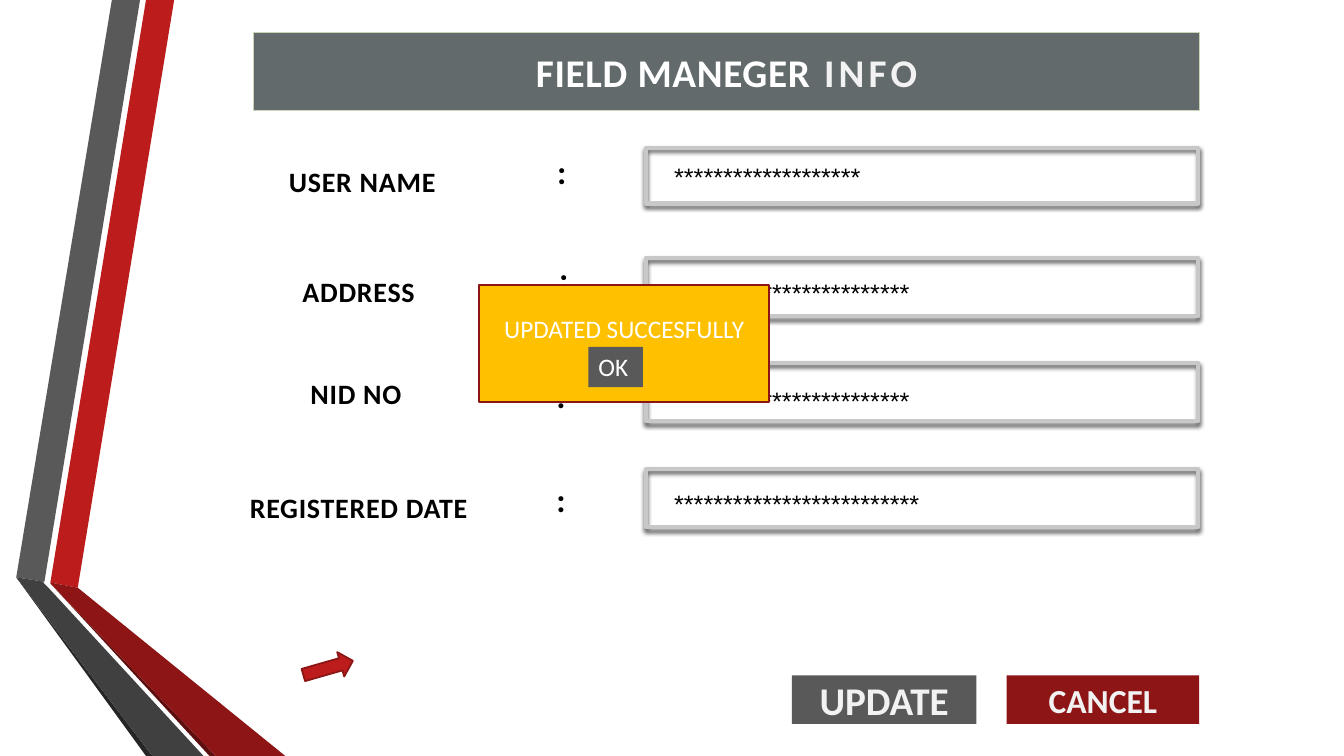
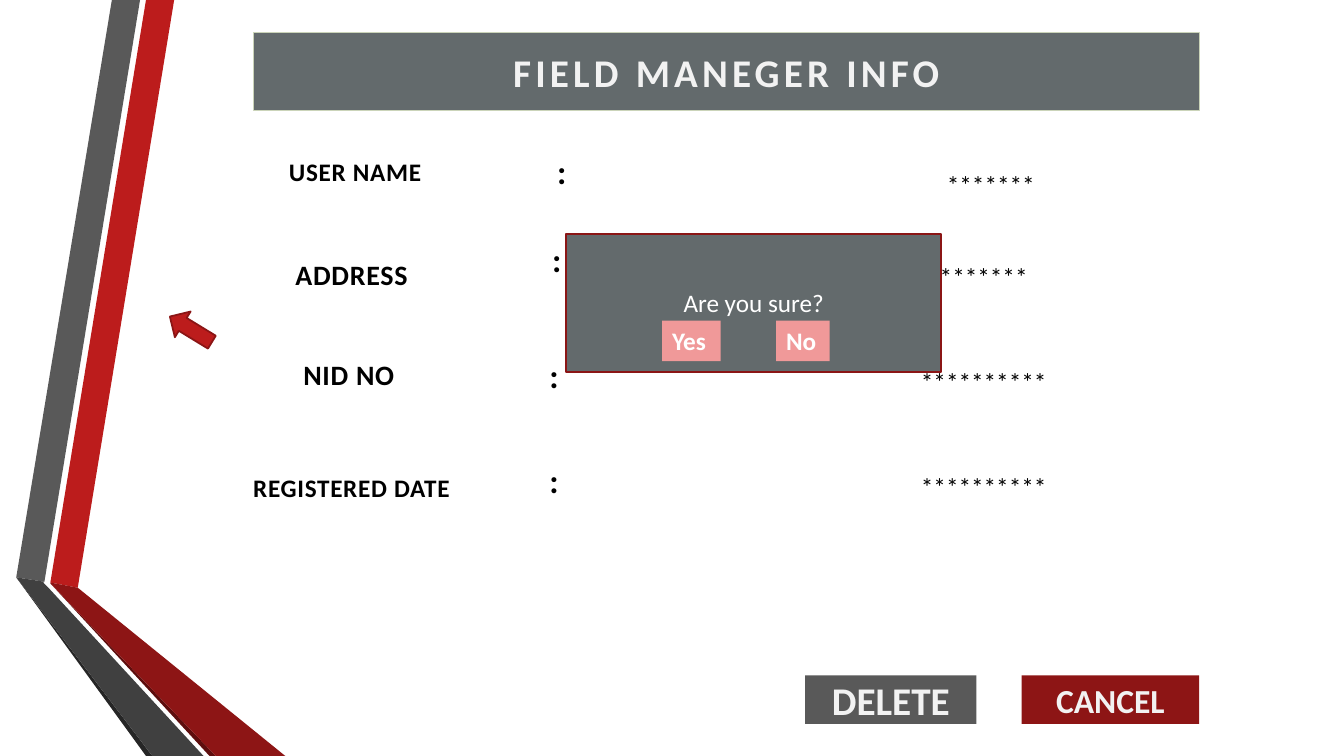
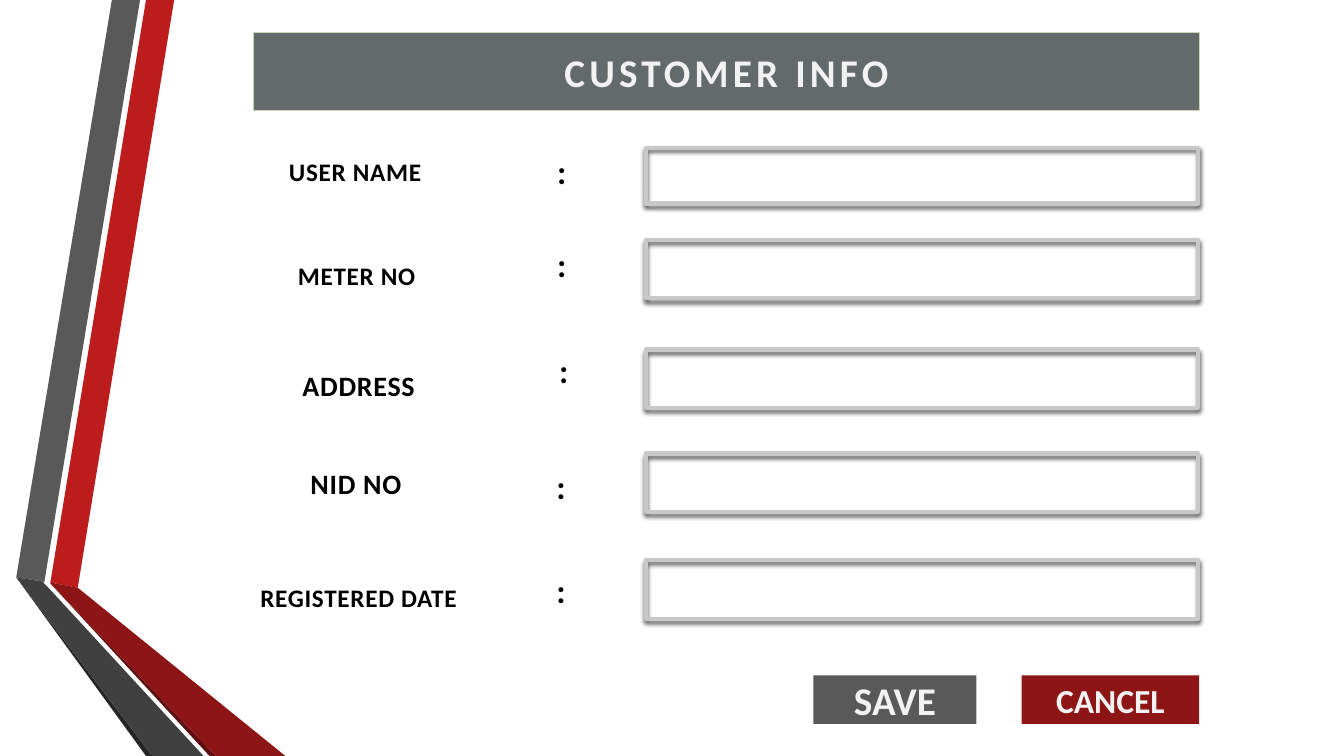
from pptx import Presentation
from pptx.dml.color import RGBColor
from pptx.enum.shapes import MSO_SHAPE
from pptx.enum.text import MSO_ANCHOR, MSO_AUTO_SIZE, PP_ALIGN
from pptx.oxml import parse_xml
from pptx.oxml.ns import nsdecls, qn
from pptx.util import Cm, Pt

RECTANGLE = MSO_SHAPE.RECTANGLE
RIGHT_ARROW = MSO_SHAPE.RIGHT_ARROW
LEFT_ARROW = MSO_SHAPE.LEFT_ARROW
MIDDLE, TOP = MSO_ANCHOR.MIDDLE, MSO_ANCHOR.TOP
CENTER, LEFT = PP_ALIGN.CENTER, PP_ALIGN.LEFT
FIT_SHAPE = MSO_AUTO_SIZE.SHAPE_TO_FIT_TEXT

COLORS = {
    "red": "BC1C1C", "dark red": "8D1515", "deep red": "5E0E0E", "edge red": "8B1515",
    "gray": "595959", "dark gray": "404040", "deep gray": "262626",
    "slate": "636A6C", "title edge": "CBD4B9", "field edge": "C8C8C8",
    "amber": "FFC000", "pink": "F09999",
    "white": "FFFFFF", "off white": "F2F2F2", "black": "000000",
}

# Side ribbon: colour and corner points in centimetres
RIBBON = [
    ("red", [(1.27, 14.68), (1.96, 14.81), (4.39, 0), (3.68, 0)]),
    ("gray", [(3.53, 0), (2.82, 0), (0.41, 14.55), (1.12, 14.66)]),
    ("deep gray", [(0.41, 14.55), (3.68, 19.05), (3.84, 19.05)]),
    ("deep red", [(1.27, 14.7), (5.28, 19.05), (5.44, 19.05)]),
    ("dark red", [(1.27, 14.7), (5.44, 19.05), (7.19, 19.05), (1.96, 14.81), (1.27, 14.68)]),
    ("dark gray", [(5.13, 19.05), (1.22, 14.81), (1.09, 14.68), (1.12, 14.66),
                   (0.41, 14.55), (3.84, 19.05)]),
]

FIELD_LEFT, FIELD_WIDTH = 16.28, 13.92
ACTION_RIGHT, CANCEL_RIGHT = 24.61, 30.22


def rgb(name):
    return RGBColor.from_string(COLORS[name])


def drop_shadow(blur, distance, direction, alpha):
    return parse_xml(
        f'<a:outerShdw {nsdecls("a")} blurRad="{Pt(blur)}" dist="{Pt(distance)}" '
        f'dir="{direction * 60000}" algn="t" rotWithShape="0"><a:srgbClr val="{COLORS["black"]}">'
        f'<a:alpha val="{alpha * 1000}"/></a:srgbClr></a:outerShdw>')


class FormDeck:
    def __init__(self):
        self.presentation = Presentation()
        self.presentation.slide_width = Cm(33.87)
        self.presentation.slide_height = Cm(19.05)
        self.layout = self.presentation.slide_layouts[6]
        self.slide = None
        self.ribbon_ready = False

    def new_slide(self, *title_runs):
        self.slide = self.presentation.slides.add_slide(self.layout)
        if not self.ribbon_ready:
            self.ribbon()
        title = self.box(RECTANGLE, 6.4, 0.81, 23.82, 1.98, "slate", "title edge", 0.75)
        for text, color, spacing in title_runs:
            self.add_text(title, text, 28, color, bold=True, spacing=spacing)

    def ribbon(self):
        """Draw the ribbon once and place it on the shared layout."""
        for placeholder in list(self.layout.placeholders):
            placeholder.element.getparent().remove(placeholder.element)
        for color, points in RIBBON:
            corners = [(Cm(x), Cm(y)) for x, y in points]
            builder = self.slide.shapes.build_freeform(*corners[0], scale=1.0)
            builder.add_line_segments(corners[1:], close=True)
            shape = builder.convert_to_shape()
            self.paint(shape, color)
            self.layout.shapes.element.append(shape.element)
        self.ribbon_ready = True

    def paint(self, shape, fill=None, line=None, line_width=1.25):
        shape.shadow.inherit = False
        if fill:
            shape.fill.solid()
            shape.fill.fore_color.rgb = rgb(fill)
        else:
            shape.fill.background()
        if line:
            shape.line.color.rgb = rgb(line)
            shape.line.width = Pt(line_width)
        else:
            shape.line.fill.background()

    def box(self, kind, left, top, width, height, fill=None, line=None, line_width=1.25):
        shape = self.slide.shapes.add_shape(kind, Cm(left), Cm(top), Cm(width), Cm(height))
        self.paint(shape, fill, line, line_width)
        return shape

    def add_text(self, shape, text, size, color, bold=False, spacing=0, font_name="Calibri",
                 align=CENTER, anchor=MIDDLE, shadow=False, outline=False):
        frame = shape.text_frame
        frame.word_wrap = True
        frame.vertical_anchor = anchor
        paragraph = frame.paragraphs[0]
        paragraph.alignment = align
        run = paragraph.add_run()
        run.text = text
        font = run.font
        font.size, font.bold = Pt(size), bold
        font.color.rgb = rgb(color)
        properties = run._r.get_or_add_rPr()
        if spacing:
            properties.set("spc", str(int(spacing * 100)))
        if outline:
            properties.insert(0, parse_xml(
                f'<a:ln {nsdecls("a")} w="{Pt(0.75)}"><a:solidFill>'
                f'<a:srgbClr val="{COLORS["white"]}"/></a:solidFill></a:ln>'))
        if shadow:
            effects = parse_xml(f'<a:effectLst {nsdecls("a")}/>')
            effects.append(drop_shadow(3, 2, 90, 60))
            properties.append(effects)
        font.name = font_name

    def centered_text(self, text, x, y, size, width=6.5, **style):
        height = 1.5
        text_box = self.slide.shapes.add_textbox(
            Cm(x - width / 2), Cm(y - height / 2), Cm(width), Cm(height))
        self.add_text(text_box, text, size, "black", **style)

    def label(self, text, size, x, y, colon_x, colon_y, shadow=False):
        self.centered_text(text, x, y, size, bold=True, spacing=0.5, shadow=shadow)
        self.centered_text(":", colon_x, colon_y, 24, width=1, bold=True)

    def field(self, top, height=1.47):
        frame = self.box(RECTANGLE, FIELD_LEFT, top, FIELD_WIDTH, height,
                         line="field edge", line_width=3)
        frame.element.spPr.find(qn("a:effectLst")).append(drop_shadow(3, 2, 90, 64))

    def field_value(self, text, top):
        text_box = self.slide.shapes.add_textbox(Cm(16.74), Cm(top), Cm(9), Cm(1.02))
        self.add_text(text_box, text, 18, "black", font_name="Arial", align=LEFT, anchor=TOP)

    def buttons(self, action, action_width, cancel_width):
        for text, right, width, size, fill in (
                (action, ACTION_RIGHT, action_width, 28, "gray"),
                ("CANCEL", CANCEL_RIGHT, cancel_width, 24, "dark red")):
            button = self.box(RECTANGLE, right - width, 17.02, width, 1.22, fill)
            self.add_text(button, text, size, "off white", bold=True, outline=True)

    def dialog(self, text, left, top, width, height, fill, bottom_inset=0.13):
        panel = self.box(RECTANGLE, left, top, width, height, fill, "edge red")
        panel.text_frame.margin_bottom = Cm(bottom_inset)
        self.add_text(panel, text, 18, "white")

    def dialog_button(self, text, left, top, width, fill, bold=False):
        button = self.box(RECTANGLE, left, top, width, 1.02, fill)
        self.add_text(button, text, 18, "white", bold=bold, align=LEFT, anchor=TOP)
        button.text_frame.word_wrap = False
        button.text_frame.auto_size = FIT_SHAPE

    def pointer(self, kind, left, top, width, height, rotation):
        self.box(kind, left, top, width, height, "red", "edge red").rotation = rotation


def main():
    deck = FormDeck()

    # Slide 1: update confirmed
    deck.new_slide(("FIELD MANEGER", "white", 0.5), (" INFO", "off white", 3))
    deck.label("USER NAME", 20, 9.13, 4.57, 14.16, 4.32, shadow=True)
    deck.label("ADDRESS", 20, 9.04, 7.34, 14.21, 7.01)
    deck.label("NID NO", 20, 8.97, 9.91, 14.14, 9.96)
    deck.label("REGISTERED DATE", 20, 9.04, 12.78, 14.14, 12.57)
    deck.field(3.73, 1.4)
    for top in (6.5, 9.14, 11.81):
        deck.field(top)
    deck.buttons("UPDATE", 4.65, 4.85)
    for stars, top in ((19, 3.94), (24, 6.86), (24, 9.58), (25, 12.19)):
        deck.field_value("*" * stars, top)
    deck.dialog("UPDATED SUCCESFULLY", 12.07, 7.19, 7.32, 2.95, "amber", 0.89)
    deck.dialog_button("OK", 14.83, 8.74, 1.37, "gray")
    deck.pointer(RIGHT_ARROW, 7.62, 16.51, 1.3, 0.64, 344)

    # Slide 2: delete question
    deck.new_slide(("FIELD MANEGER INFO", "off white", 3))
    deck.label("USER NAME", 18, 8.95, 4.32, 14.16, 4.32, shadow=True)
    deck.label("ADDRESS", 20, 8.86, 6.91, 14.03, 6.53)
    deck.label("NID NO", 20, 8.79, 9.42, 13.96, 9.45)
    deck.label("REGISTERED DATE", 18, 8.86, 12.29, 13.96, 12.09)
    deck.buttons("DELETE", 4.32, 4.47)
    for stars, x, y in ((7, 24.97, 4.64), (7, 24.79, 6.96), (10, 24.79, 9.6), (10, 24.79, 12.27)):
        deck.centered_text("*" * stars, x, y, 18, shadow=True)
    deck.dialog("Are you sure?", 14.27, 5.89, 9.45, 3.48, "slate")
    deck.dialog_button("Yes", 16.69, 8.08, 1.47, "pink", bold=True)
    deck.dialog_button("No", 19.56, 8.08, 1.35, "pink", bold=True)
    deck.pointer(LEFT_ARROW, 4.19, 7.92, 1.24, 0.76, 31.4)

    # Slide 3: empty customer form
    deck.new_slide(("CUSTOMER INFO", "off white", 3))
    deck.label("USER NAME", 18, 8.95, 4.32, 14.16, 4.32, shadow=True)
    deck.label("METER NO", 18, 8.99, 6.93, 14.16, 6.65, shadow=True)
    deck.label("ADDRESS", 20, 9.04, 9.7, 14.21, 9.32)
    deck.label("NID NO", 20, 8.97, 12.19, 14.14, 12.24)
    deck.label("REGISTERED DATE", 18, 9.04, 15.06, 14.14, 14.86)
    deck.field(3.73, 1.4)
    for top in (6.05, 8.81, 11.43, 14.12):
        deck.field(top)
    deck.buttons("SAVE", 4.11, 4.47)

    deck.presentation.save("out.pptx")


if __name__ == "__main__":
    main()
